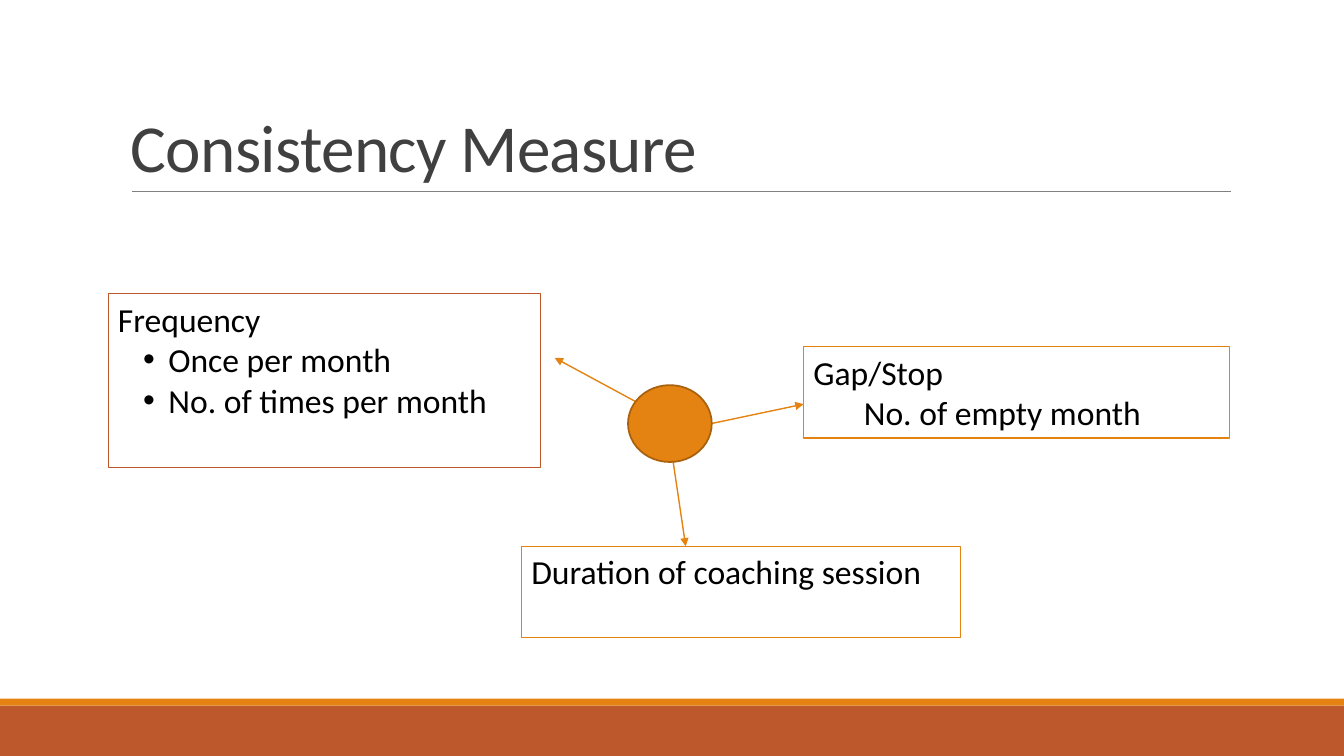
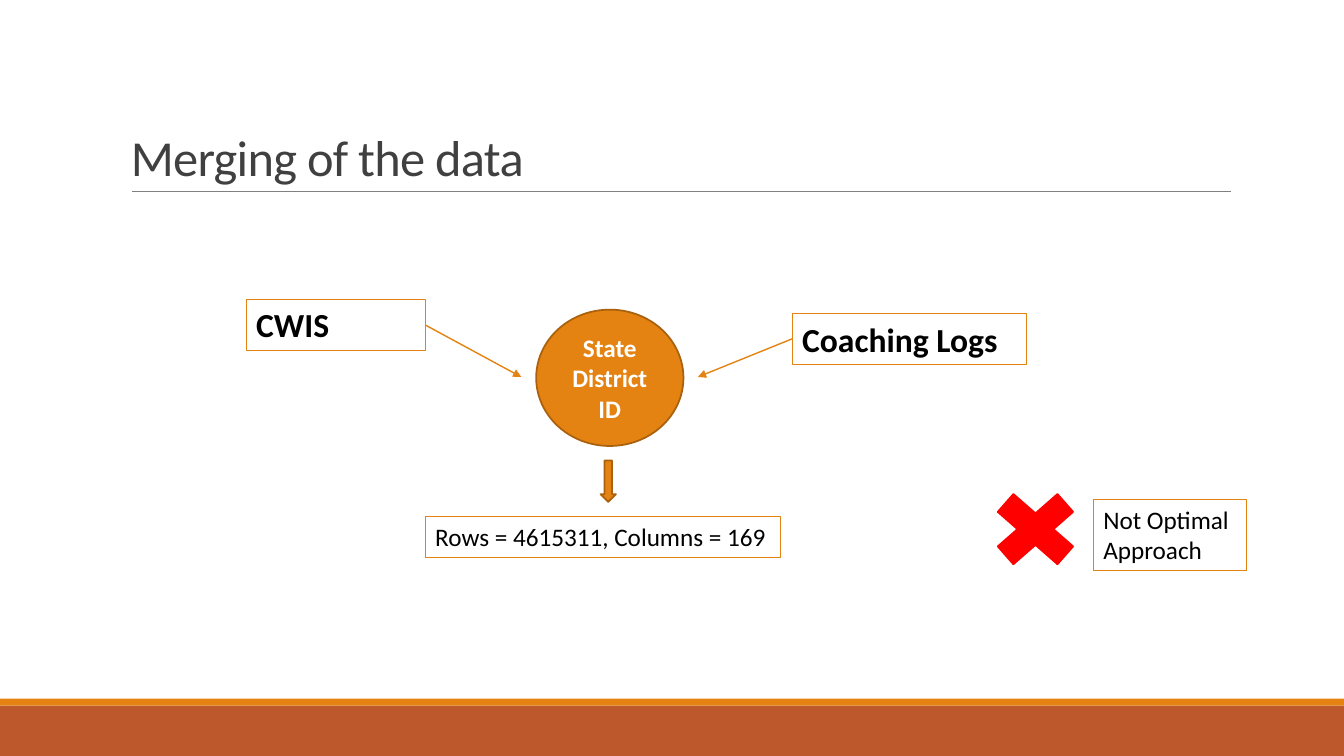
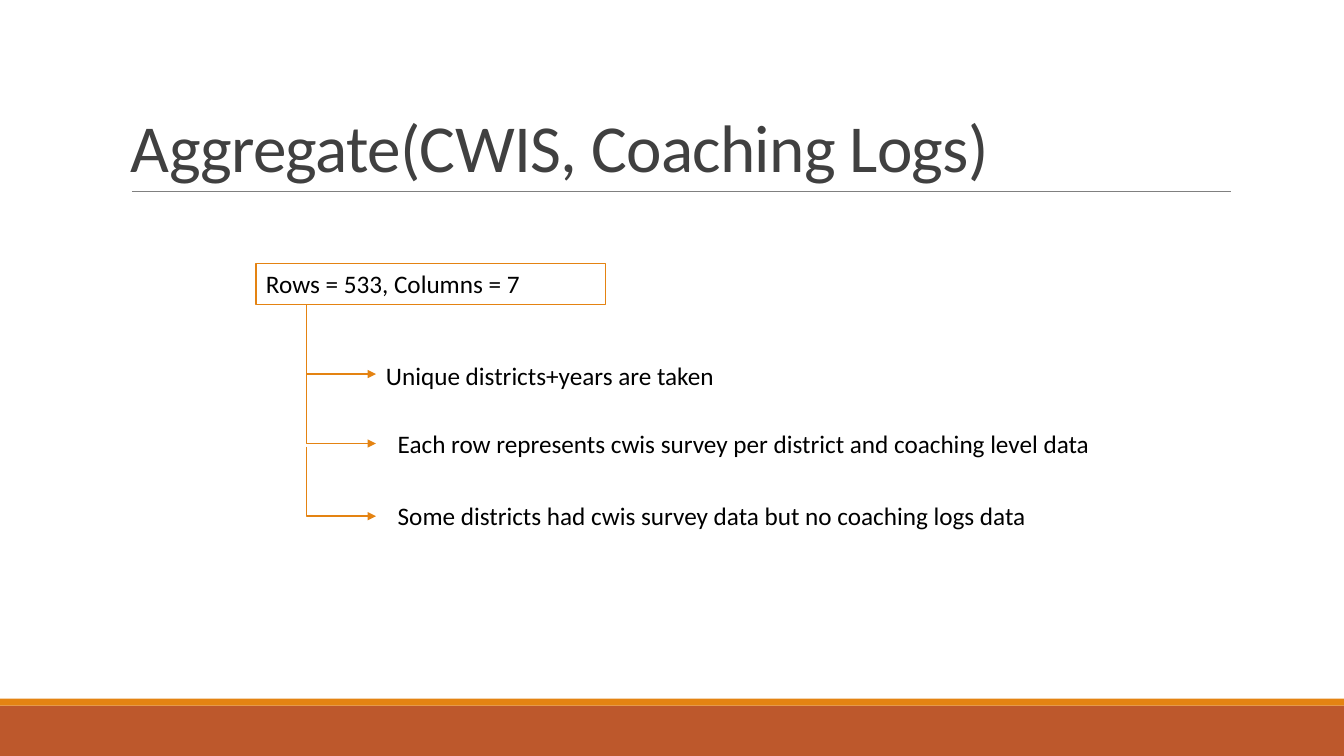
from lxml import etree
from pptx import Presentation
from pptx.dml.color import RGBColor
from pptx.enum.shapes import MSO_CONNECTOR, MSO_SHAPE
from pptx.enum.text import MSO_ANCHOR, PP_ALIGN
from pptx.oxml.ns import qn
from pptx.util import Pt

# Shared style
FONT = "Calibri"
RUST = RGBColor(0xBD, 0x58, 0x2C)
ORANGE = RGBColor(0xE4, 0x83, 0x12)
BROWN = RGBColor(0xA9, 0x61, 0x0D)
GREY = RGBColor(0x80, 0x80, 0x80)
DARK = RGBColor(0x40, 0x40, 0x40)
BLACK = RGBColor(0, 0, 0)
WHITE = RGBColor(0xFF, 0xFF, 0xFF)
RED = RGBColor(0xFF, 0, 0)
SLIDE_W, SLIDE_H = 960, 540
BAND_TOP, STRIPE_TOP = 504, 499


def write(tf, text, size=18, color=BLACK, bold=False, align=PP_ALIGN.LEFT,
          indent=0, bullet=False, tracking=0, line_spacing=None):
    """Add one paragraph, filling the first one if it is still empty."""
    p = tf.paragraphs[0] if not tf.text else tf.add_paragraph()
    pPr = p._p.get_or_add_pPr()
    if indent:
        pPr.set("marL", str(Pt(indent)))
        pPr.set("indent", str(Pt(-18) if bullet else 0))
    if bullet:
        etree.SubElement(pPr, qn("a:buFont")).set("typeface", "Arial")
        etree.SubElement(pPr, qn("a:buChar")).set("char", "•")
    p.alignment = align
    if line_spacing:
        p.line_spacing = line_spacing
    r = p.add_run()
    r.text = text
    r.font.name, r.font.size, r.font.bold = FONT, Pt(size), bold
    r.font.color.rgb = color
    if tracking:
        r._r.get_or_add_rPr().set("spc", str(int(tracking * 100)))


def add_box(s, left, top, width, height, border=None):
    """Add a wrapping text box, framed if a border colour is given."""
    sp = s.shapes.add_textbox(Pt(left), Pt(top), Pt(width), Pt(height))
    sp.text_frame.word_wrap = True
    if border is not None:
        sp.line.color.rgb = border
        sp.line.width = Pt(0.75)
    return sp.text_frame


def add_figure(s, kind, left, top, width, height, fill=ORANGE, line=BROWN):
    sp = s.shapes.add_shape(kind, Pt(left), Pt(top), Pt(width), Pt(height))
    sp.shadow.inherit = False
    sp.fill.solid()
    sp.fill.fore_color.rgb = fill
    if line is None:
        sp.line.fill.background()
    else:
        sp.line.color.rgb = line
        sp.line.width = Pt(1.25)
    return sp.text_frame


def add_line(s, x1, y1, x2, y2, color=ORANGE, width=1, arrow=True, elbow=False):
    """Add a connector; an elbow goes down first, then across."""
    kind = MSO_CONNECTOR.ELBOW if elbow else MSO_CONNECTOR.STRAIGHT
    cx = s.shapes.add_connector(kind, Pt(x1), Pt(y1), Pt(x2), Pt(y2))
    cx.line.color.rgb = color
    cx.line.width = Pt(width)
    spPr = cx._element.spPr
    if arrow:
        etree.SubElement(cx.line._get_or_add_ln(), qn("a:tailEnd")).set("type", "triangle")
    if elbow:
        guides = spPr.find(qn("a:prstGeom")).get_or_add_avLst()
        gd = etree.SubElement(guides, qn("a:gd"))
        gd.set("name", "adj1")
        gd.set("fmla", "val 0")
    etree.SubElement(spPr, qn("a:effectLst"))


def add_slide(prs, title, size=48):
    """Add a slide with the bottom bands, the title and its rule."""
    s = prs.slides.add_slide(prs.slide_layouts[6])
    add_figure(s, MSO_SHAPE.RECTANGLE, 0, BAND_TOP, SLIDE_W, SLIDE_H - BAND_TOP, RUST, None)
    add_figure(s, MSO_SHAPE.RECTANGLE, 0, STRIPE_TOP, SLIDE_W, BAND_TOP - STRIPE_TOP, ORANGE, None)
    add_line(s, 94.3, 136.8, 879, 136.8, GREY, 0.5, arrow=False)
    tf = add_box(s, 86.4, 22.6, 792, 114.2)
    tf.vertical_anchor = MSO_ANCHOR.BOTTOM
    write(tf, title, size=size, color=DARK, tracking=-0.5, line_spacing=0.85)
    return s


def build_consistency(prs):
    s = add_slide(prs, "Consistency Measure")
    # Three measures
    tf = add_box(s, 77.2, 210, 309, 124, RUST)
    write(tf, "Frequency", size=24)
    for text in ("Once per month", "No. of times per month"):
        write(tf, text, size=24, indent=36, bullet=True)
    tf = add_box(s, 574, 247.5, 304.6, 65.4, ORANGE)
    write(tf, "Gap/Stop", size=24)
    write(tf, "No. of empty month", size=24, indent=36)
    tf = add_box(s, 372.4, 390.3, 313.6, 65.4, ORANGE)
    write(tf, "Duration of coaching session", size=24)
    # Hub with its arrows
    for ends in ((508.4, 302.5, 574, 288.7), (479, 317.5, 489.8, 390.3),
                 (458, 289, 396.2, 255.6)):
        add_line(s, *ends)
    add_figure(s, MSO_SHAPE.OVAL, 448.6, 275.1, 59.8, 54.9)


def build_merging(prs):
    s = add_slide(prs, "Merging of the data", size=36)
    # Two sources
    for text, left, top, width in (("CWIS", 175.9, 213.8, 128.2),
                                   ("Coaching Logs", 565.9, 223.9, 167.2)):
        write(add_box(s, left, top, width, 36.3, ORANGE), text, size=24, bold=True)
    add_line(s, 565.9, 242, 498.5, 269.3)
    add_line(s, 304.1, 232.3, 372.4, 269.3)
    # Shared key
    tf = add_figure(s, MSO_SHAPE.OVAL, 383, 221.2, 105.2, 97.4)
    tf.word_wrap = True
    tf.vertical_anchor = MSO_ANCHOR.MIDDLE
    write(tf, "State District ID", color=WHITE, bold=True, align=PP_ALIGN.CENTER)
    # Result and verdict
    add_figure(s, MSO_SHAPE.DOWN_ARROW, 429, 329, 11, 29.5)
    write(add_box(s, 303.8, 369, 253.8, 29.1, ORANGE), "Rows = 4615311, Columns = 169")
    add_figure(s, MSO_SHAPE.MATH_MULTIPLY, 698.6, 342, 82.1, 72, RED, RED)
    tf = add_box(s, 781, 356.6, 109.4, 50.9, ORANGE)
    for text in ("Not Optimal", "Approach"):
        write(tf, text)


def build_aggregate(prs):
    s = add_slide(prs, "Aggregate(CWIS, Coaching Logs)")
    write(add_box(s, 182.9, 188.4, 249.8, 29.1, ORANGE), "Rows = 533, Columns = 7")
    # Branches: elbow top, text left, text top
    branch_left, reach = 218.8, 49.7
    for elbow_top, left, top, text in (
            (217.5, 268.6, 253.5, "Unique districts+years are taken"),
            (267.1, 277, 302.3, "Each row represents cwis survey per district and coaching level data"),
            (319, 277, 354, "Some districts had cwis survey data but no coaching logs data")):
        add_line(s, branch_left, elbow_top, branch_left + reach, elbow_top + reach, elbow=True)
        write(add_box(s, left, top, 532, 29.1), text)


def main():
    prs = Presentation()
    prs.slide_width, prs.slide_height = Pt(SLIDE_W), Pt(SLIDE_H)
    build_consistency(prs)
    build_merging(prs)
    build_aggregate(prs)
    prs.save("out.pptx")


if __name__ == "__main__":
    main()
